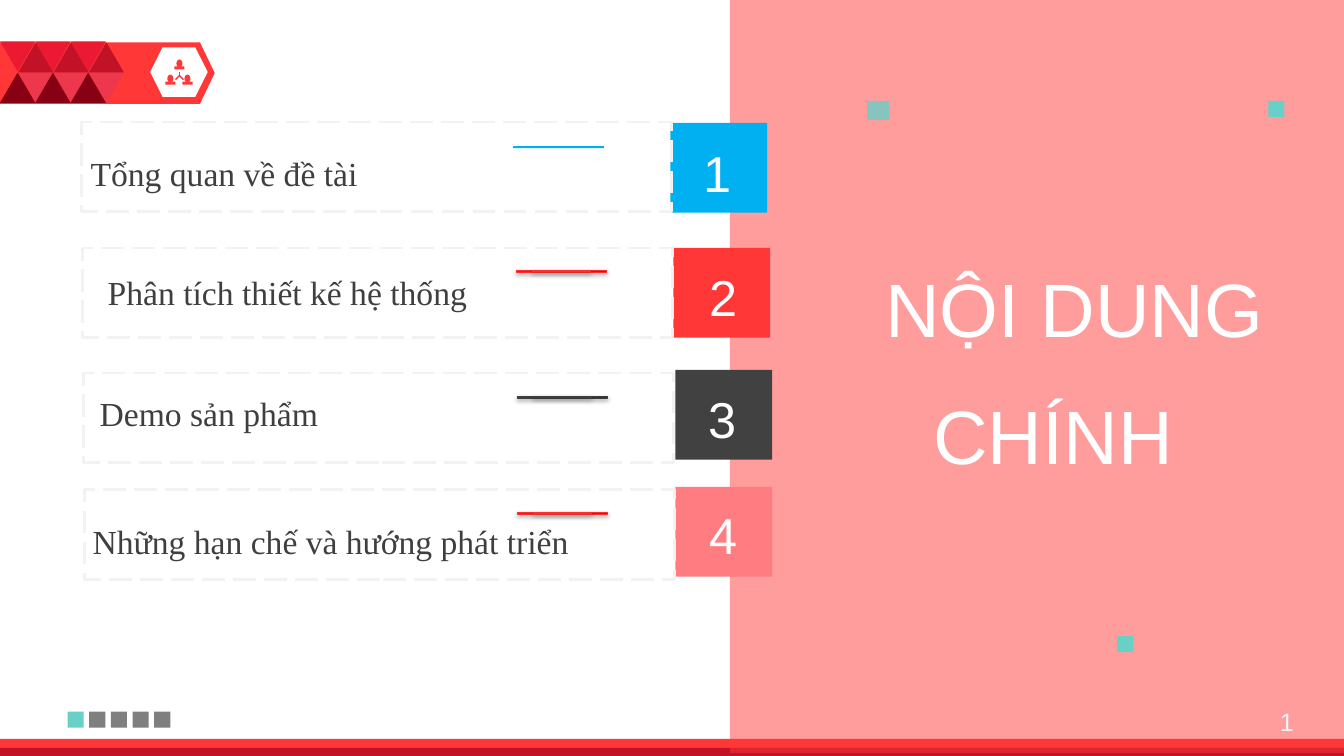
from lxml import etree
from pptx import Presentation
from pptx.dml.color import RGBColor
from pptx.enum.dml import MSO_LINE
from pptx.enum.shapes import MSO_CONNECTOR, MSO_SHAPE
from pptx.enum.text import MSO_ANCHOR, PP_ALIGN
from pptx.oxml.ns import qn
from pptx.util import Inches, Pt

RECTANGLE = MSO_SHAPE.RECTANGLE
TRIANGLE = MSO_SHAPE.ISOSCELES_TRIANGLE
HEXAGON = MSO_SHAPE.HEXAGON
PENTAGON = MSO_SHAPE.PENTAGON
OVAL = MSO_SHAPE.OVAL
SHOULDERS = MSO_SHAPE.ROUND_2_SAME_RECTANGLE
STRAIGHT = MSO_CONNECTOR.STRAIGHT
LONG_DASH = MSO_LINE.LONG_DASH
TOP = MSO_ANCHOR.TOP
LEFT, CENTER, RIGHT, JUSTIFY = PP_ALIGN.LEFT, PP_ALIGN.CENTER, PP_ALIGN.RIGHT, PP_ALIGN.JUSTIFY

WHITE = RGBColor(0xFF, 0xFF, 0xFF)
PALE = RGBColor(0xF2, 0xF2, 0xF2)
RED = RGBColor(0xFF, 0x37, 0x37)
DARK_RED = RGBColor(0xC2, 0x12, 0x27)
CRIMSON = RGBColor(0xEB, 0x19, 0x32)
ROSE = RGBColor(0xED, 0x37, 0x4D)
MAROON = RGBColor(0x88, 0x00, 0x14)
PINK = RGBColor(0xFF, 0x7C, 0x80)
BLUE = RGBColor(0x00, 0xB0, 0xF0)
CHARCOAL = RGBColor(0x41, 0x41, 0x41)
TEXT_GRAY = RGBColor(0x3F, 0x3F, 0x3F)
GRAY = RGBColor(0x7F, 0x7F, 0x7F)
TEAL = RGBColor(0x68, 0xD0, 0xC6)
RED_ACCENT = (RGBColor(0xD1, 0x11, 0x11), RGBColor(0xFF, 0x13, 0x13), RGBColor(0xFD, 0x30, 0x30))
GRAY_ACCENT = (RGBColor(0x2F, 0x2F, 0x2F), TEXT_GRAY, TEXT_GRAY)


class SlideBuilder:
    """Holds the text style and the slide being filled."""

    def __init__(self, slide, font="Arial", line_spacing=1.1):
        self.slide = slide
        self.font = font
        self.line_spacing = line_spacing

    def shape(self, kind, left, top, width, height, fill=None, alpha=None, rotation=0):
        shape = self.slide.shapes.add_shape(
            kind, Inches(left), Inches(top), Inches(width), Inches(height))
        shape.shadow.inherit = False
        shape.rotation = rotation
        shape.line.fill.background()
        if fill is None:
            shape.fill.background()
        else:
            self.paint(shape, fill, alpha)
        return shape

    def paint(self, shape, fill, alpha=None):
        shape.fill.solid()
        shape.fill.fore_color.rgb = fill
        if alpha is not None:
            color = shape.fill._xPr.find(qn("a:solidFill"))[0]
            etree.SubElement(color, qn("a:alpha"), val=str(alpha * 1000))

    def polygon(self, points, fill):
        builder = self.slide.shapes.build_freeform(*points[0], scale=Inches(1))
        builder.add_line_segments(points[1:], close=True)
        shape = builder.convert_to_shape()
        shape.shadow.inherit = False
        shape.line.fill.background()
        self.paint(shape, fill)

    def line(self, start, end, color, width):
        connector = self.slide.shapes.add_connector(
            STRAIGHT, *[Inches(value) for value in (*start, *end)])
        connector.line.color.rgb = color
        connector.line.width = Pt(width)
        etree.SubElement(connector._element.spPr, qn("a:effectLst"))

    def text(self, text, left, top, width, height, size=24, color=WHITE,
             font=None, align=LEFT, fill=None):
        box = self.slide.shapes.add_textbox(
            Inches(left), Inches(top), Inches(width), Inches(height))
        if fill is not None:
            self.paint(box, fill)
        frame = box.text_frame
        frame.word_wrap = True
        frame.vertical_anchor = TOP
        paragraph = frame.paragraphs[0]
        paragraph.alignment = align
        paragraph.line_spacing = self.line_spacing
        run = paragraph.add_run()
        run.text = text
        run.font.name = font or self.font
        run.font.size = Pt(size)
        run.font.color.rgb = color

    def dashed_box(self, left, top, width, height):
        box = self.shape(RECTANGLE, left, top, width, height)
        box.line.color.rgb = PALE
        box.line.width = Pt(2)
        box.line.dash_style = LONG_DASH

    def accent(self, center_x, center_y, colors):
        """Draw a long and a short bar around one center."""
        for thickness, length in ((0.02, 0.9), (0.01, 0.58)):
            bar = self.shape(RECTANGLE, center_x - thickness / 2, center_y - length / 2,
                             thickness, length, BLUE, rotation=270)
            if colors is None:
                continue
            *stops, outline = colors
            bar.fill.gradient()
            bar.fill.gradient_angle = 90
            for stop, color in zip(bar.fill.gradient_stops, stops):
                stop.color.rgb = color
            bar.line.color.rgb = outline
            bar.line.width = Pt(0.75)
            self.drop_shadow(bar)

    def drop_shadow(self, shape):
        effects = shape._element.spPr.find(qn("a:effectLst"))
        shadow = etree.SubElement(
            effects, qn("a:outerShdw"), blurRad=str(Pt(3.1)), dist=str(Pt(1.8)),
            dir="5400000", rotWithShape="0")
        color = etree.SubElement(shadow, qn("a:srgbClr"), val="000000")
        etree.SubElement(color, qn("a:alpha"), val="35000")

    def person(self, center_x, top):
        self.shape(OVAL, center_x - 0.03, top, 0.06, 0.08, RED)
        self.shape(SHOULDERS, center_x - 0.05, top + 0.07, 0.1, 0.03, RED)


def draw_header(builder):
    arrow = builder.shape(PENTAGON, 0, 0.42, 2.13, 0.61, RED)
    arrow.adjustments[0] = 0.24
    builder.polygon([(0, 0.72), (2.13, 0.72), (1.98, 1.02), (0, 1.02)], DARK_RED)
    builder.shape(HEXAGON, 1.49, 0.47, 0.57, 0.49, WHITE)

    # People network icon
    hub = (1.78, 0.75)
    for end in ((1.78, 0.71), (1.82, 0.79), (1.74, 0.79)):
        builder.line(hub, end, RED, 1)
    for center_x, top in ((1.78, 0.59), (1.69, 0.74), (1.86, 0.74)):
        builder.person(center_x, top)

    # Triangle pattern
    for column in range(3):
        left = column * 0.35
        for offset, top, color, rotation in (
                (0, 0.41, CRIMSON, 180), (0.18, 0.42, DARK_RED, 0),
                (0.18, 0.72, ROSE, 180), (0, 0.72, MAROON, 0)):
            builder.shape(TRIANGLE, left + offset, top, 0.35, 0.3, color, rotation=rotation)


def draw_agenda(builder):
    # Text and its place, tile, number place, accent center and colors, box place
    rows = [
        ("Tổng quan về đề tài", (0.8, 1.43), JUSTIFY, (6.65, 1.22), BLUE,
         (6.77, 1.3), (5.54, 1.46), None, (0.81, 1.21)),
        ("Phân tích thiết kế hệ thống", (0.97, 2.61), JUSTIFY, (6.68, 2.46), RED,
         (6.83, 2.53), (5.57, 2.69), RED_ACCENT, (0.82, 2.46)),
        ("Demo sản phẩm", (0.89, 3.81), LEFT, (6.7, 3.67), CHARCOAL,
         (6.82, 3.74), (5.58, 3.94), GRAY_ACCENT, (0.83, 3.7)),
        ("Những hạn chế và hướng phát triển", (0.82, 5.08), LEFT, (6.7, 4.83), PINK,
         (6.83, 4.89), (5.58, 5.09), RED_ACCENT, (0.84, 4.86)),
    ]
    for number, row in enumerate(rows, 1):
        title, title_at, align, tile_at, color, number_at, accent_at, accent_colors, box_at = row
        builder.shape(RECTANGLE, *tile_at, 0.96, 0.89, color)
        builder.text(str(number), *number_at, 0.7, 0.71, size=36, align=CENTER,
                     fill=PINK if color == PINK else None)
        builder.accent(*accent_at, accent_colors)
        builder.dashed_box(*box_at, 5.85, 0.89)
        builder.text(title, *title_at, 5.31, 0.5, color=TEXT_GRAY,
                     font="Times New Roman", align=align)


def main():
    presentation = Presentation()
    presentation.slide_width = Inches(13.33)
    presentation.slide_height = Inches(7.5)
    builder = SlideBuilder(presentation.slides.add_slide(presentation.slide_layouts[6]))

    # Header and footer bands
    draw_header(builder)
    builder.shape(RECTANGLE, 0, 7.33, 13.33, 0.16, RED)
    builder.shape(RECTANGLE, 0, 7.42, 13.33, 0.08, DARK_RED)

    # Title panel
    builder.shape(RECTANGLE, 7.24, -0.03, 6.09, 7.5, RED, alpha=49)
    for title, left, top in (("NỘI DUNG", 5.96, 2.46), ("CHÍNH", 5.06, 3.72)):
        builder.text(title, left, top, 6.67, 1.01, size=54, align=RIGHT)
    builder.shape(RECTANGLE, 8.6, 1, 0.22, 0.19, TEAL, alpha=80)
    for left, top in ((11.08, 6.31), (12.58, 1)):
        builder.shape(RECTANGLE, left, top, 0.16, 0.16, TEAL)

    draw_agenda(builder)

    # Progress squares and slide number
    for step in range(5):
        builder.shape(RECTANGLE, 0.67 + step * 0.215, 7.06, 0.16, 0.16, GRAY if step else TEAL)
    builder.text("1", 12.34, 6.93, 0.59, 0.4, size=18, color=PALE, align=RIGHT)

    presentation.save("out.pptx")


if __name__ == "__main__":
    main()
